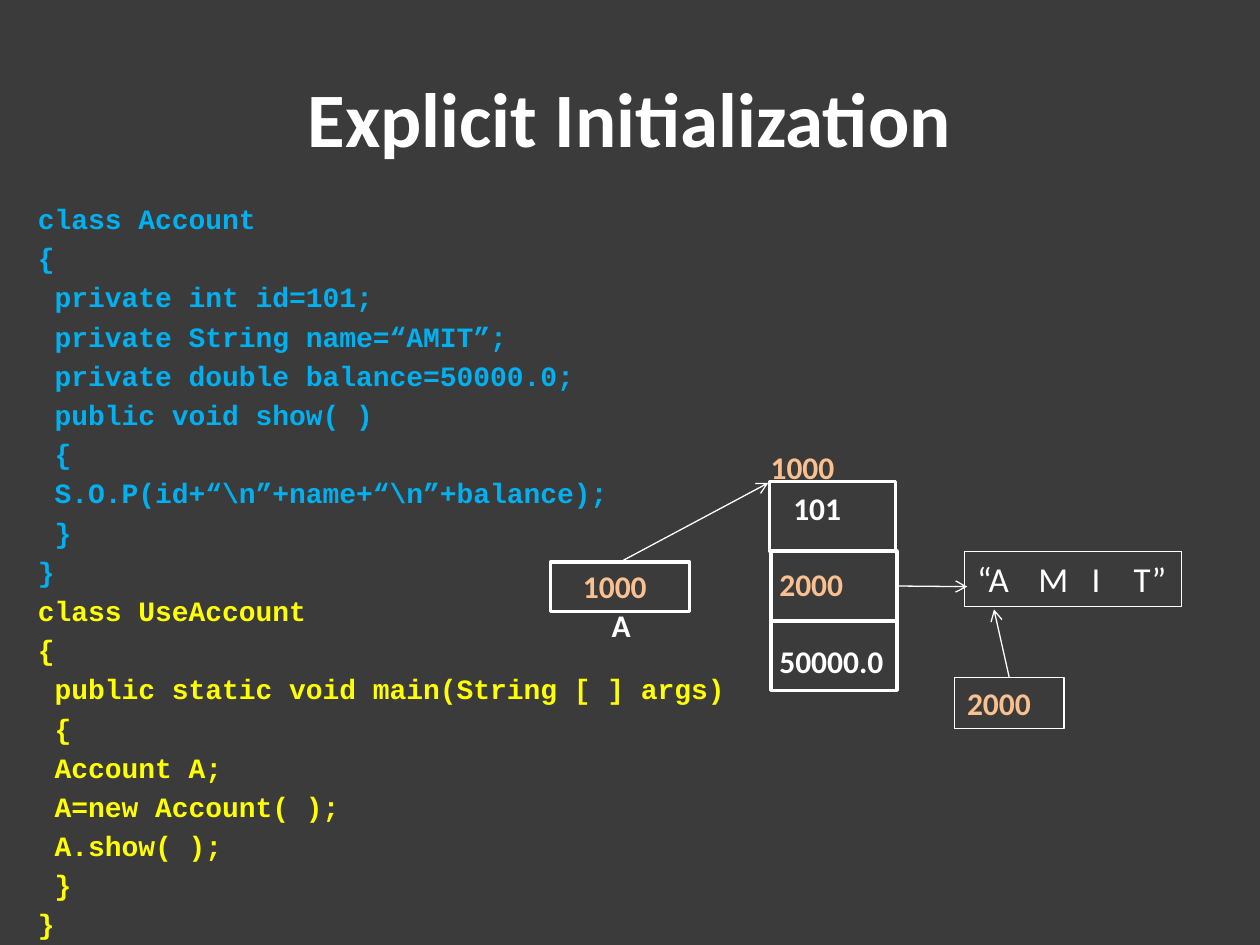
from pptx import Presentation
from pptx.dml.color import RGBColor
from pptx.enum import shapes, text
from pptx.oxml import parse_xml
from pptx.oxml import ns
from pptx.util import Pt

HUES = {"back": "3B3B3B", "white": "FFFFFF", "blue": "00B0F0",
        "yellow": "FFFF00", "peach": "FAC090"}

ACCOUNT = """class Account
{
 private int id=101;
 private String name=“AMIT”;
 private double balance=50000.0;
 public void show( )
 {
 S.O.P(id+“\\n”+name+“\\n”+balance);
 }
}"""

USER = """class UseAccount
{
 public static void main(String [ ] args)
 {
 Account A;
 A=new Account( );
 A.show( );
 }
}"""


def hue(name):
    return RGBColor.from_string(HUES[name])


def xml(tag, attrs="", inner=""):
    return parse_xml(f'<a:{tag} {ns.nsdecls("a")} {attrs}>{inner}</a:{tag}>')


def place(shape, x, y, w, h):
    shape.left, shape.top, shape.width, shape.height = Pt(x), Pt(y), Pt(w), Pt(h)


def style(para, size, color, bold=True, face="Calibri"):
    for run in para.runs:
        font = run.font
        font.size, font.bold, font.name = Pt(size), bold, face
        font.color.rgb = hue(color)


def rect(slide, x, y, w, h, width):
    box = slide.shapes.add_shape(
        shapes.MSO_SHAPE.RECTANGLE, Pt(x), Pt(y), Pt(w), Pt(h))
    box.shadow.inherit = False
    box.fill.background()
    box.line.color.rgb = hue("white")
    box.line.width = Pt(width)
    return box


def write(shape, words, size=18, color="peach", bold=True):
    frame = shape.text_frame
    frame.word_wrap = True
    frame.vertical_anchor = text.MSO_ANCHOR.TOP
    frame.text = words
    para = frame.paragraphs[0]
    para.alignment = text.PP_ALIGN.LEFT
    style(para, size, color, bold)
    return para


def label(slide, words, x, y, w, h, color="peach"):
    box = slide.shapes.add_textbox(Pt(x), Pt(y), Pt(w), Pt(h))
    write(box, words, color=color)
    return box


def arrow(slide, start, site, x, y):
    """Run an arrow from a connection site of a shape to a point."""
    line = slide.shapes.add_connector(
        shapes.MSO_CONNECTOR.STRAIGHT, 0, 0, Pt(x), Pt(y))
    line.begin_connect(start, site)
    line.line.color.rgb = hue("white")
    line.line.width = Pt(0.75)
    line.line._get_or_add_ln().append(xml("tailEnd", 'type="arrow"'))
    line._element.spPr.append(xml("effectLst"))


def heading(slide, x, y, w, h):
    title = slide.shapes.title
    place(title, x, y, w, h)
    title.text_frame.text = "Explicit Initialization"
    style(title.text_frame.paragraphs[0], 44, "white")


def listing(slide, x, y, w, h):
    body = slide.placeholders[1]
    place(body, x, y, w, h)
    frame = body.text_frame
    frame.auto_size = text.MSO_AUTO_SIZE.NONE
    frame.text = ACCOUNT + "\n" + USER
    count = len(ACCOUNT.splitlines())
    for i, para in enumerate(frame.paragraphs):
        props = para._p.get_or_add_pPr()
        props.set("marL", str(Pt(27)))
        props.set("indent", str(Pt(-27)))
        props.append(xml("buNone"))
        style(para, 16, "blue" if i < count else "yellow", face="Courier New")
    frame.paragraphs[0].space_before = Pt(0)


def memory(slide, x, y):
    """Draw the object's three fields and return the middle one."""
    w, h = 72, 39.75
    cells = [rect(slide, x + dx, y + i * h, w, h, 2)
             for i, dx in enumerate((0, 0.75, 0.75))]
    values = label(slide, "101", x - 1.5, y + 0.75, 90.5, 116.5, "white")
    frame = values.text_frame
    first = frame.paragraphs[0]
    first._p.get_or_add_pPr().set("indent", str(Pt(8)))
    for words, color in (("2000", "peach"), ("50000.0", "white")):
        para = frame.add_paragraph()
        para.text = words
        para.space_before = Pt(22)
        style(para, 18, color)
    label(slide, "1000", x - 6.5, y - 23, 57, 29)
    return cells[1]


def handle(slide, x, y):
    """Draw the variable A with the address it holds."""
    box = rect(slide, x, y, 79.5, 28.25, 2)
    label(slide, "A", x + 28, y + 21.5, 28, 29, "white")
    label(slide, "1000", x + 11.5, y - 0.75, 57, 29)
    return box


def name(slide, x, y):
    """Draw the string object and the address below it."""
    box = rect(slide, x, y, 124, 31.5, 0.75)
    para = write(box, "“A\tM\tI\tT”", 20, "white", False)
    stops = "".join(f'<a:tab pos="{Pt(p)}" algn="l"/>' for p in (35, 65.5, 89.5))
    para._p.get_or_add_pPr().append(xml("tabLst", inner=stops))
    place_id = rect(slide, x - 5.75, y + 72, 62.5, 29, 0.75)
    write(place_id, "2000")
    arrow(slide, place_id, 0, x + 16.75, y + 33)


def heap(slide, x, y):
    var = handle(slide, x, y + 46)
    field = memory(slide, x + 125.25, y)
    arrow(slide, var, 0, x + 124.5, y + 0.75)
    arrow(slide, field, 3, x + 238.25, y + 60)
    name(slide, x + 236.75, y + 40)


def main():
    deck = Presentation()
    deck.slide_width, deck.slide_height = Pt(720), Pt(540)
    slide = deck.slides.add_slide(deck.slide_layouts[1])
    fill = slide.background.fill
    fill.solid()
    fill.fore_color.rgb = hue("back")
    heading(slide, 36, 21.6, 648, 90)
    listing(slide, 14.4, 111.6, 692, 428.4)
    heap(slide, 314.5, 275.25)
    deck.save("out.pptx")


if __name__ == "__main__":
    main()
